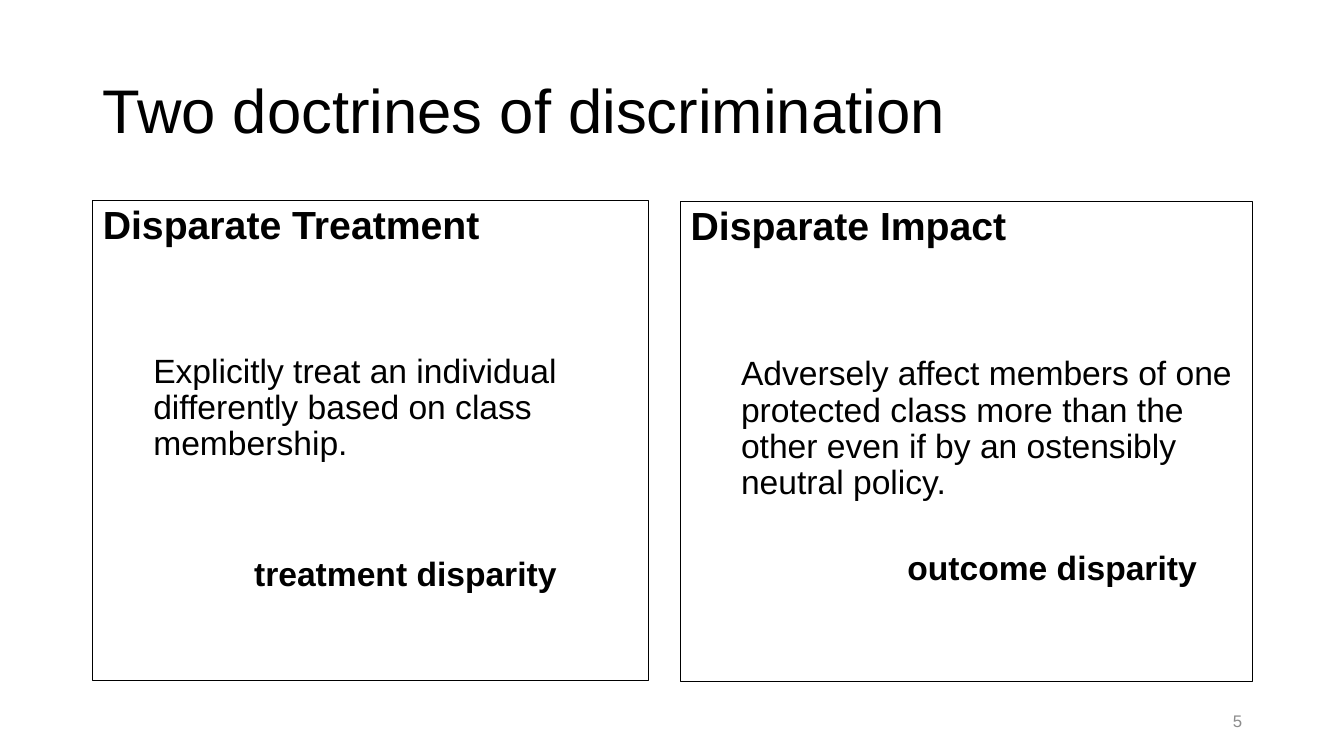
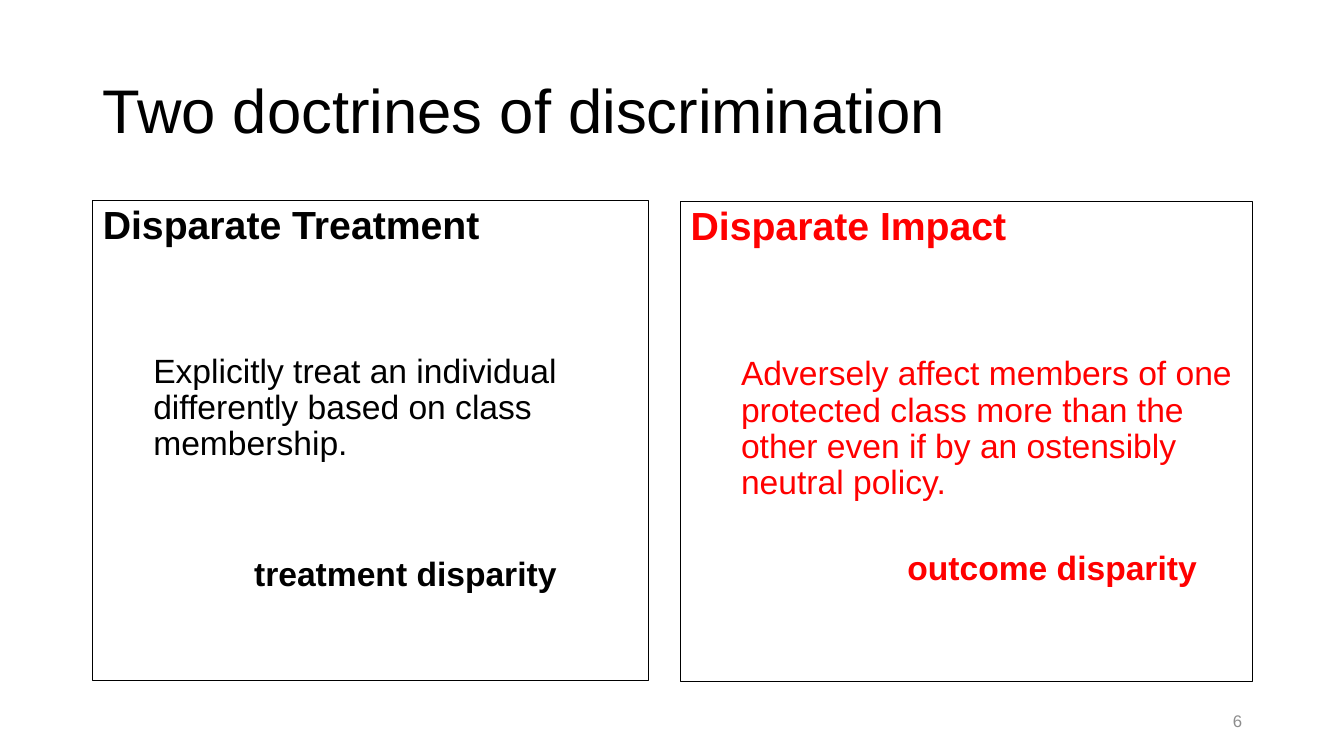
from dataclasses import dataclass

from lxml import etree
from pptx import Presentation
from pptx.dml.color import RGBColor
from pptx.enum.text import MSO_ANCHOR, MSO_AUTO_SIZE, PP_ALIGN
from pptx.oxml.ns import qn
from pptx.util import Inches, Pt

BLACK = RGBColor(0x00, 0x00, 0x00)
WHITE = RGBColor(0xFF, 0xFF, 0xFF)
RED = RGBColor(0xFF, 0x00, 0x00)
GRAY = RGBColor(0x8C, 0x8C, 0x8C)
FONT_NAME = "Arial"
LEFT, RIGHT = PP_ALIGN.LEFT, PP_ALIGN.RIGHT
TOP, MIDDLE = MSO_ANCHOR.TOP, MSO_ANCHOR.MIDDLE
NO_AUTOFIT = MSO_AUTO_SIZE.NONE

TWO_CONTENT_LAYOUT = 3
TITLE = "Two doctrines of discrimination"
FIRST_SLIDE_NUMBER = 5


@dataclass(frozen=True)
class Box:
    left: float
    top: float
    width: float
    height: float


@dataclass(frozen=True)
class Line:
    text: str
    size: float
    bold: bool = False
    indent: float = 0
    space_before: float = 0
    line_spacing: float = 0.9
    alignment: PP_ALIGN = LEFT


@dataclass(frozen=True)
class Panel:
    box: Box
    lines: tuple[Line, ...]


TITLE_BOX = Box(0.92, 0.4, 11.5, 1.45)
NUMBER_BOX = Box(9.42, 6.95, 3, 0.4)

TREATMENT = Panel(
    Box(0.92, 1.99, 5.51, 4.76),
    (
        Line("Disparate Treatment", 28, bold=True),
        Line("Explicitly treat an individual differently based on class membership.",
             24, indent=0.5, space_before=76),
        Line("treatment disparity", 24, bold=True, indent=1.5, space_before=67),
    ),
)
IMPACT = Panel(
    Box(6.75, 2, 5.67, 4.76),
    (
        Line("Disparate Impact", 28, bold=True),
        Line("Adversely affect members of one protected class more than the other "
             "even if by an ostensibly neutral policy.",
             24, indent=0.5, space_before=77),
        Line("outcome disparity", 24, bold=True, indent=2.15, space_before=35.5),
    ),
)


def set_attributes(target, values: dict) -> None:
    for name, value in values.items():
        setattr(target, name, value)


def place(shape, box: Box) -> None:
    set_attributes(shape, {
        name: Inches(getattr(box, name)) for name in ("left", "top", "width", "height")
    })


def write_lines(shape, lines: tuple[Line, ...], color: RGBColor, anchor: MSO_ANCHOR) -> None:
    frame = shape.text_frame
    set_attributes(frame, {
        "word_wrap": True, "auto_size": NO_AUTOFIT, "vertical_anchor": anchor,
    })
    for index, line in enumerate(lines):
        paragraph = frame.add_paragraph() if index else frame.paragraphs[0]
        properties = paragraph._p.get_or_add_pPr()
        properties.set("marL", str(Inches(line.indent)))
        properties.set("indent", "0")
        etree.SubElement(properties, qn("a:buNone"))
        set_attributes(paragraph, {
            "alignment": line.alignment,
            "line_spacing": line.line_spacing,
            "space_before": Pt(line.space_before),
        })
        run = paragraph.add_run()
        run.text = line.text
        set_attributes(run.font, {
            "name": FONT_NAME, "size": Pt(line.size), "bold": line.bold,
        })
        run.font.color.rgb = color


def draw_panel(placeholder, panel: Panel, color: RGBColor) -> None:
    place(placeholder, panel.box)
    placeholder.fill.solid()
    placeholder.fill.fore_color.rgb = WHITE
    placeholder.line.color.rgb = BLACK
    placeholder.line.width = Pt(1)
    write_lines(placeholder, panel.lines, color, TOP)


def add_doctrines_slide(presentation, number: int, impact_color: RGBColor) -> None:
    slide = presentation.slides.add_slide(presentation.slide_layouts[TWO_CONTENT_LAYOUT])
    title, treatment, impact = slide.placeholders
    place(title, TITLE_BOX)
    write_lines(title, (Line(TITLE, 44),), BLACK, MIDDLE)
    draw_panel(treatment, TREATMENT, BLACK)
    draw_panel(impact, IMPACT, impact_color)

    number_box = slide.shapes.add_textbox(0, 0, 0, 0)
    place(number_box, NUMBER_BOX)
    number_line = Line(str(number), 12, line_spacing=1.0, alignment=RIGHT)
    write_lines(number_box, (number_line,), GRAY, MIDDLE)


def main() -> None:
    presentation = Presentation()
    set_attributes(presentation, {
        "slide_width": Inches(13.33), "slide_height": Inches(7.5),
    })
    for number, impact_color in enumerate((BLACK, RED), FIRST_SLIDE_NUMBER):
        add_doctrines_slide(presentation, number, impact_color)
    presentation.save("out.pptx")


if __name__ == "__main__":
    main()
